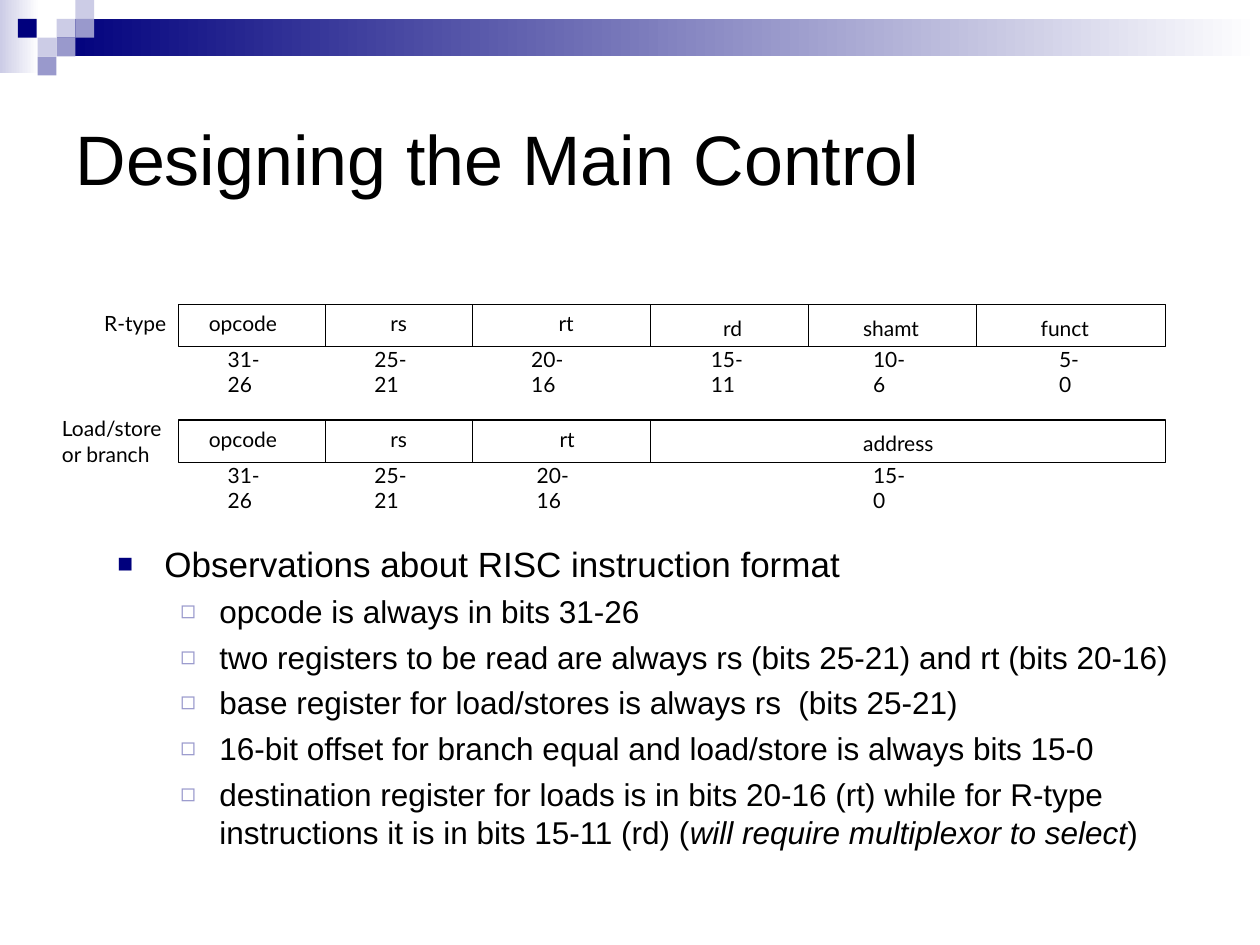
from dataclasses import dataclass
from lxml.etree import SubElement
from pptx import Presentation
from pptx.dml.color import RGBColor as RGB
from pptx.enum.shapes import MSO_CONNECTOR as CONN, MSO_SHAPE as SHAPE
from pptx.enum.text import MSO_ANCHOR as ANCHOR, MSO_AUTO_SIZE as AUTO, PP_ALIGN as ALIGN
from pptx.oxml.ns import qn
from pptx.util import Cm, Pt


@dataclass(frozen=True)
class Theme:
    ink: str = "000000"
    navy: str = "00007D"
    mid: str = "9999CC"
    pale: str = "CCCCE6"
    white: str = "FFFFFF"
    font: str = "Arial"
    label_font: str = "Lato"
    title: float = 40
    body: float = 20
    sub: float = 18
    label: float = 12
    line: float = 0.75


@dataclass(frozen=True)
class Field:
    """One field of an instruction; lengths in cm."""
    name: str
    bits: str
    left: float
    name_left: float
    name_width: float
    bits_left: float
    name_drop: float = 0


@dataclass(frozen=True)
class Format:
    """One instruction format, drawn as a row of fields."""
    caption: str
    caption_box: tuple[float, float, float, float]
    top: float
    fields: list[Field]


@dataclass(frozen=True)
class Bullet:
    char: str
    color: str
    percent: int
    margin: float
    indent: float


T = Theme()
ROW_LEFT, ROW_RIGHT, ROW_HEIGHT = 3.6, 23.5, 0.85
BITS_DROP, LABEL_HEIGHT = 0.72, 0.77
SQUARE = 0.38

OPCODE = Field("opcode", "31-26", ROW_LEFT, 3.96, 1.98, 4.34)
RS = Field("rs", "25-21", 6.56, 7.62, 0.89, 7.3)
FORMATS = [
    Format("R-type", (1.85, 6.14, 1.78, LABEL_HEIGHT), 6.14, [
        OPCODE,
        RS,
        Field("rt", "20-16", 9.53, 11.01, 0.84, 10.46),
        Field("rd", "15-11", 13.12, 14.33, 0.94, 14.08, 0.09),
        Field("shamt", "10-6", 16.3, 17.15, 1.75, 17.35, 0.09),
        Field("funct", "5-0", 19.69, 20.73, 1.52, 21.1, 0.09),
    ]),
    Format("Load/store\nor branch", (1, 8.26, 2.77, 1.27), 8.47, [
        OPCODE,
        RS,
        Field("rt", "20-16", 9.53, 11.03, 0.84, 10.57),
        Field("address", "15-0", 13.12, 17.15, 1.96, 17.35, 0.09),
    ]),
]

SQUARES = [  # left, top, colour
    (1.14, 0.38, T.pale), (1.52, 0, T.pale), (1.52, 0.38, T.mid),
    (0.76, 0.76, T.pale), (0.36, 0.38, T.navy), (1.14, 0.76, T.mid),
    (0.76, 1.14, T.mid),
]

MAIN_BULLET = Bullet("■", T.navy, 75, 0.95, -0.95)
SUB_BULLET = Bullet("◻", T.mid, 80, 2.06, -0.79)
HEADING = "Observations about RISC instruction format"
OBSERVATIONS = [  # plain text, italic text, plain text
    ("opcode is always in bits 31-26",),
    ("two registers to be read are always rs (bits 25-21) and rt (bits 20-16)",),
    ("base register for load/stores is always rs  (bits 25-21)",),
    ("16-bit offset for branch equal and load/store is always bits 15-0",),
    ("destination register for loads is in bits 20-16 (rt) while for R-type "
     "instructions it is in bits 15-11 (rd) (",
     "will require multiplexor to select", ")"),
]


def add_run(p, text: str, *, size: float, font: str = T.font,
            color: str = T.ink, italic: bool = False) -> None:
    r = p.add_run()
    r.text = text
    r.font.size, r.font.name, r.font.italic = Pt(size), font, italic
    r.font.color.rgb = RGB.from_string(color)


def place(sp, left: float, top: float, width: float, height: float) -> None:
    sp.left, sp.top, sp.width, sp.height = map(Cm, (left, top, width, height))


def set_bullet(p, b: Bullet) -> None:
    pPr = p._p.get_or_add_pPr()
    pPr.set("marL", str(Cm(b.margin)))
    pPr.set("indent", str(Cm(b.indent)))
    SubElement(SubElement(pPr, qn("a:buClr")), qn("a:srgbClr")).set("val", b.color)
    SubElement(pPr, qn("a:buSzPct")).set("val", str(b.percent * 1000))
    SubElement(pPr, qn("a:buChar")).set("char", b.char)


def add_label(s, text: str, left: float, top: float, width: float,
              height: float = LABEL_HEIGHT, wrap: bool = False) -> None:
    tf = s.shapes.add_textbox(*map(Cm, (left, top, width, height))).text_frame
    tf.word_wrap = wrap
    for i, line in enumerate(text.split("\n")):
        p = tf.add_paragraph() if i else tf.paragraphs[0]
        add_run(p, line, size=T.label, font=T.label_font)


def add_rect(s, left: float, top: float, width: float, height: float,
             fill: str | None = None, fade: str | None = None):
    sp = s.shapes.add_shape(SHAPE.RECTANGLE, *map(Cm, (left, top, width, height)))
    sp.shadow.inherit = False
    sp.line.fill.background()
    if fade:
        sp.fill.gradient()
        sp.fill.gradient_angle = 0
        for stop, color, pos in zip(sp.fill.gradient_stops, (fill, fade), (0, 1)):
            stop.color.rgb, stop.position = RGB.from_string(color), pos
    elif fill:
        sp.fill.solid()
        sp.fill.fore_color.rgb = RGB.from_string(fill)
    else:
        sp.fill.background()
    return sp


def set_line(sp) -> None:
    sp.line.color.rgb = RGB.from_string(T.ink)
    sp.line.width = Pt(T.line)


def add_divider(s, x: float, top: float) -> None:
    c = s.shapes.add_connector(CONN.STRAIGHT, *map(Cm, (x, top, x, top + ROW_HEIGHT)))
    set_line(c)
    SubElement(c._element.spPr, qn("a:effectLst"))


def add_format(s, fmt: Format) -> None:
    set_line(add_rect(s, ROW_LEFT, fmt.top, ROW_RIGHT - ROW_LEFT, ROW_HEIGHT))
    add_label(s, fmt.caption, *fmt.caption_box)
    for f in fmt.fields:
        if f.left > ROW_LEFT:
            add_divider(s, f.left, fmt.top)
        add_label(s, f.name, f.name_left, fmt.top + f.name_drop, f.name_width)
        # Just wide enough for the high bit, so the range breaks at its hyphen
        width = 0.76 + 0.25 * len(f.bits.split("-")[0])
        add_label(s, f.bits, f.bits_left, fmt.top + BITS_DROP, width, 1.27, wrap=True)


def main() -> None:
    prs = Presentation()
    prs.slide_width, prs.slide_height = Cm(25.4), Cm(19.05)
    s = prs.slides.add_slide(prs.slide_layouts[1])
    title, body = s.placeholders

    # Header band and squares
    add_rect(s, 0, 0, 0.79, 1.47, T.pale, T.white)
    add_rect(s, 1.14, 0.38, 24.26, 0.76, T.navy, T.white)
    for left, top, color in SQUARES:
        add_rect(s, left, top, SQUARE, SQUARE, color)

    # Title
    place(title, 1.27, 1.27, 22.86, 3.81)
    tf = title.text_frame
    tf.vertical_anchor, tf.auto_size = ANCHOR.MIDDLE, AUTO.NONE
    tf.paragraphs[0].alignment = ALIGN.LEFT
    add_run(tf.paragraphs[0], "Designing the Main Control", size=T.title)

    # Instruction formats
    for fmt in FORMATS:
        add_format(s, fmt)

    # Observations
    place(body, 2.11, 10.8, 22.23, 11.43)
    tf = body.text_frame
    tf.vertical_anchor, tf.auto_size = ANCHOR.TOP, AUTO.NONE
    p = tf.paragraphs[0]
    set_bullet(p, MAIN_BULLET)
    p.space_before = Pt(0)
    add_run(p, HEADING, size=T.body)
    for parts in OBSERVATIONS:
        p = tf.add_paragraph()
        p.level = 1
        set_bullet(p, SUB_BULLET)
        p.space_before = Pt(4.5)
        for i, part in enumerate(parts):
            add_run(p, part, size=T.sub, italic=i == 1)

    prs.save("out.pptx")


if __name__ == "__main__":
    main()
